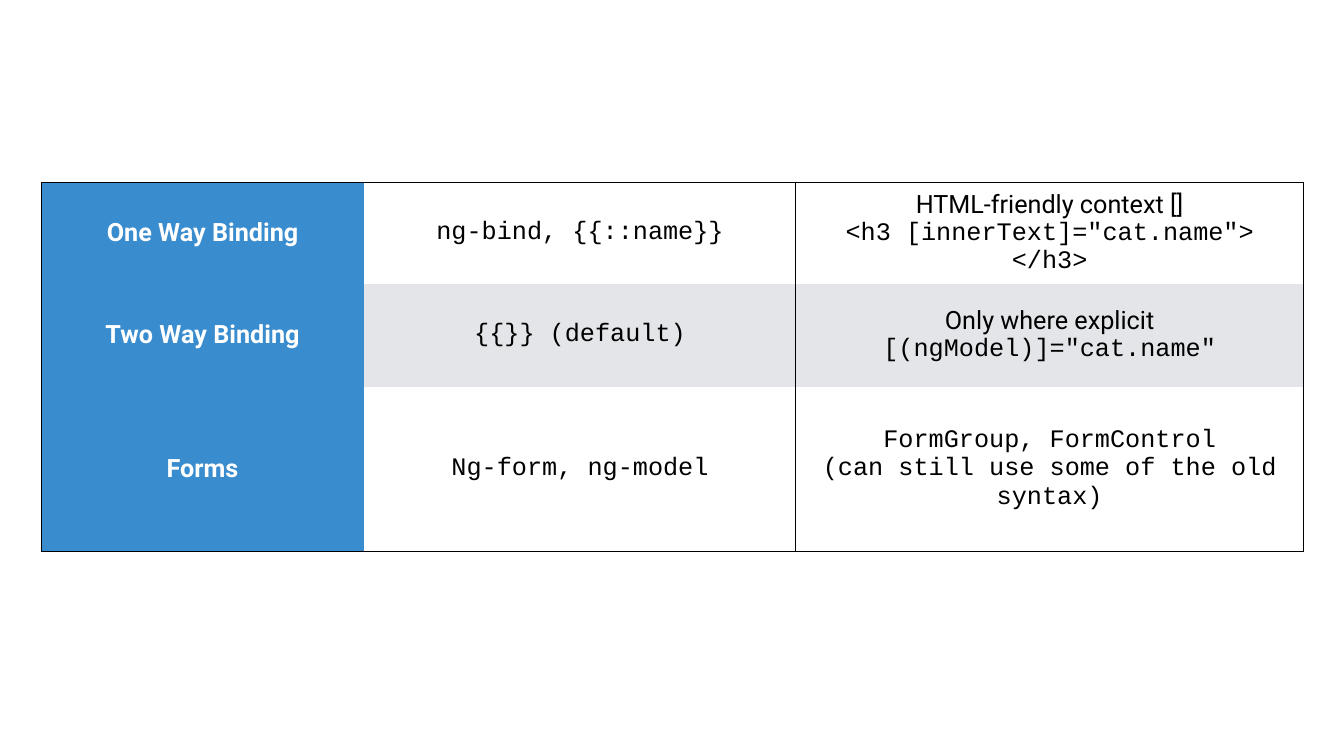
from dataclasses import dataclass

from lxml.etree import SubElement
from pptx import Presentation
from pptx.dml.color import RGBColor
from pptx.enum.text import MSO_ANCHOR, PP_ALIGN
from pptx.oxml.ns import qn
from pptx.util import Inches, Pt


@dataclass(frozen=True)
class Theme:
    blue: str = "398CCE"
    gray: str = "E3E5E8"
    white: str = "FFFFFF"
    black: str = "000000"
    text_size: int = 36
    border_width: int = 1
    prose: str = "Roboto"
    code: str = "Courier New"


theme = Theme()
NO_STYLE_NO_GRID = "{2D5ABB26-0587-4C30-8999-92F81FD0307C}"

COLUMN_WIDTHS = [6.42, 8.56, 10.08]
ROW_HEIGHTS = [2.01, 2.04, 3.27]
# Each cell is a list of (text, font) paragraphs.
ROWS = [
    [
        [("One Way Binding", theme.prose)],
        [("ng-bind, {{::name}}", theme.code)],
        [
            ("HTML-friendly context []", theme.prose),
            ('<h3 [innerText]="cat.name">', theme.code),
            ("</h3>", theme.code),
        ],
    ],
    [
        [("Two Way Binding", theme.prose)],
        [("{{}} (default)", theme.code)],
        [("Only where explicit", theme.prose), ('[(ngModel)]="cat.name"', theme.code)],
    ],
    [
        [("Forms", theme.prose)],
        [("Ng-form, ng-model", theme.code)],
        [("FormGroup, FormControl\n(can still use some of the old syntax)", theme.code)],
    ],
]


def add_border(cell, side):
    line = SubElement(cell._tc.get_or_add_tcPr(), qn(f"a:ln{side}"), w=str(Pt(theme.border_width)))
    SubElement(SubElement(line, qn("a:solidFill")), qn("a:srgbClr"), val=theme.black)


deck = Presentation()
deck.slide_width, deck.slide_height = Inches(26.67), Inches(15)
page = deck.slides.add_slide(deck.slide_layouts[6])

frame = page.shapes.add_table(
    len(ROWS), len(COLUMN_WIDTHS), Inches(0.81), Inches(3.62),
    Inches(sum(COLUMN_WIDTHS)), Inches(sum(ROW_HEIGHTS)),
)
table = frame.table
table.first_row = table.horz_banding = False
table._tbl.tblPr.find(qn("a:tableStyleId")).text = NO_STYLE_NO_GRID
for column, width in zip(table.columns, COLUMN_WIDTHS):
    column.width = Inches(width)
for row, height in zip(table.rows, ROW_HEIGHTS):
    row.height = Inches(height)

last_row = len(ROWS) - 1
for row_index, row in enumerate(ROWS):
    for column_index, paragraphs in enumerate(row):
        cell = table.cell(row_index, column_index)
        is_label = column_index == 0

        # Outer frame plus one rule between the two content columns.
        borders = {
            "L": column_index != 1,
            "R": not is_label,
            "T": row_index == 0,
            "B": row_index == last_row,
        }
        for side, visible in borders.items():
            if visible:
                add_border(cell, side)

        band = theme.gray if row_index % 2 else theme.white
        cell.fill.solid()
        cell.fill.fore_color.rgb = RGBColor.from_string(theme.blue if is_label else band)
        cell.vertical_anchor = MSO_ANCHOR.MIDDLE
        cell.margin_left = cell.margin_right = Inches(0.06)
        cell.margin_top = cell.margin_bottom = Inches(0.06)

        for index, (text, font_name) in enumerate(paragraphs):
            text_frame = cell.text_frame
            para = text_frame.paragraphs[0] if index == 0 else text_frame.add_paragraph()
            para.text = text
            para.alignment = PP_ALIGN.CENTER
            para.font.name = font_name
            para.font.size = Pt(theme.text_size)
            para.font.bold = is_label
            para.font.color.rgb = RGBColor.from_string(theme.white if is_label else theme.black)

deck.save("out.pptx")
